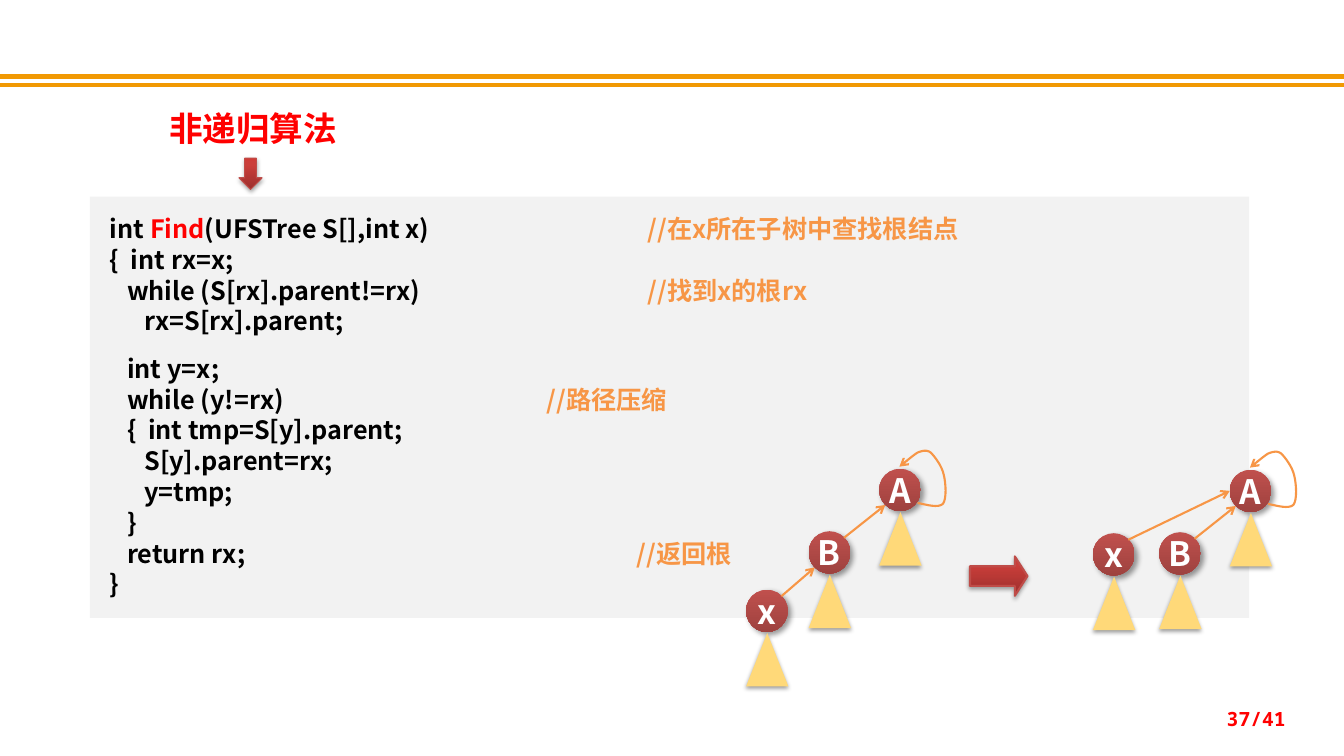
from copy import deepcopy
from lxml.etree import SubElement
from pptx import Presentation
from pptx.dml.color import RGBColor
from pptx.enum.shapes import MSO_CONNECTOR as Connector, MSO_SHAPE as Preset
from pptx.enum.text import MSO_ANCHOR as Anchor, PP_ALIGN as Align
from pptx.oxml.ns import qn
from pptx.util import Inches, Pt

COLORS = {
    "rule": "F19903", "red": "FF0000", "panel": "F2F2F2", "code": "000000",
    "accent": "F79646", "white": "FFFFFF", "subtree": "FFD979",
    "arrow_edge": "BF4C48", "shadow": "000000",
}
NODE_STOPS = [(0, "C0504D"), (1, "9E423F")]
ARROW_STOPS = [(0, "9C2F2D"), (0.8, "CB3E3A"), (1, "CE3B37")]
SANS = "Noto Sans CJK SC"


def write(paragraph, text, size=18, color="code", font=SANS):
    run = paragraph.add_run()
    run.text = text
    run.font.size = Pt(size)
    run.font.bold = True
    run.font.color.rgb = RGBColor.from_string(COLORS[color])
    run.font.name = font
    SubElement(run.font._element, qn("a:ea"), typeface=font)


def shade(shape, stops, angle, opacity, blur, distance, direction):
    if stops:
        shape.fill.gradient()
        shape.fill.gradient_angle = angle
        stop_list = shape.fill._xPr.find(".//" + qn("a:gsLst"))
        if len(stops) > 2:
            stop_list.append(deepcopy(stop_list[-1]))
        for stop, (position, color) in zip(shape.fill.gradient_stops, stops):
            stop.position = position
            stop.color.rgb = RGBColor.from_string(color)
    shape.shadow.inherit = False
    effects = shape._element.spPr.find(qn("a:effectLst"))
    shadow = SubElement(effects, qn("a:outerShdw"), blurRad=str(Pt(blur)),
                        dist=str(Pt(distance)), dir=str(direction * 60000),
                        rotWithShape="0")
    tint = SubElement(shadow, qn("a:srgbClr"), val=COLORS["shadow"])
    SubElement(tint, qn("a:alpha"), val=str(opacity * 1000))


presentation = Presentation()
presentation.slide_width = Inches(13.33)
presentation.slide_height = Inches(7.5)
column = presentation.slide_width / 100
row = presentation.slide_height / 100
slide = presentation.slides.add_slide(presentation.slide_layouts[6])
shapes = slide.shapes

for level in (10.13, 11.2):
    rule = shapes.add_connector(Connector.STRAIGHT, 0, int(level * row),
                                presentation.slide_width, int(level * row))
    rule.line.color.rgb = RGBColor.from_string(COLORS["rule"])
    rule.line.width = Pt(3)
    SubElement(rule._element.spPr, qn("a:effectLst"))

panel = shapes.add_shape(Preset.RECTANGLE, int(6.68 * column), int(26 * row),
                         int(86.27 * column), int(55.73 * row))
panel.fill.solid()
panel.fill.fore_color.rgb = RGBColor.from_string(COLORS["panel"])
panel.line.fill.background()
panel.shadow.inherit = False
frame = panel.text_frame
frame.word_wrap = True
frame.vertical_anchor = Anchor.TOP
frame.margin_left = Inches(0.2)
frame.margin_top = frame.margin_bottom = Inches(0.16)

CODE = [
    ([("int ", "code"), ("Find", "red"), ("(UFSTree S[],int x)", "code")],
     "//在x所在子树中查找根结点", 40),
    ([("{  int rx=x;", "code")], None, 0),
    ([("   while (S[rx].parent!=rx)", "code")], "//找到x的根rx", 40),
    ([("      rx=S[rx].parent;", "code")], None, 0),
    ([("   int y=x;", "code")], None, 0),
    ([("   while (y!=rx)", "code")], "//路径压缩", 32.5),
    ([("   {  int tmp=S[y].parent;", "code")], None, 0),
    ([("      S[y].parent=rx;", "code")], None, 0),
    ([("      y=tmp;", "code")], None, 0),
    ([("   }", "code")], None, 0),
    ([("   return rx;", "code")], "//返回根", 39.2),
    ([("}", "code")], None, 0),
]
for number, (parts, comment, stop) in enumerate(CODE):
    paragraph = frame.add_paragraph() if number else frame.paragraphs[0]
    paragraph.alignment = Align.LEFT
    paragraph.line_spacing = Pt(22)
    if number == 4:
        paragraph.space_before = Pt(12)
    for text, color in parts:
        write(paragraph, text, color=color)
    if comment:
        tabs = SubElement(paragraph._p.get_or_add_pPr(), qn("a:tabLst"))
        SubElement(tabs, qn("a:tab"), pos=str(int(stop * column)), algn="l")
        write(paragraph, "\t" + comment, color="accent")

LABELS = [
    ("37/41", 73.07, 92.4, 23.33, 5.33, 14, "Noto Sans Mono", Align.RIGHT, Anchor.MIDDLE),
    ("非递归算法", 11.85, 13.6, 20.26, 6.67, 24, SANS, Align.LEFT, Anchor.TOP),
]
for text, left, top, width, height, size, font, alignment, anchor in LABELS:
    label = shapes.add_textbox(int(left * column), int(top * row),
                               int(width * column), int(height * row))
    label.text_frame.word_wrap = True
    label.text_frame.vertical_anchor = anchor
    paragraph = label.text_frame.paragraphs[0]
    paragraph.alignment = alignment
    write(paragraph, text, size=size, color="red", font=font)

BLOCK_ARROWS = [
    (Preset.DOWN_ARROW, 17.78, 20.93, 1.73, 4.13, 0.75, 0.5),
    (Preset.RIGHT_ARROW, 72.17, 73.6, 4.28, 5.2, 1.5, 0.32),
]
for preset, left, top, width, height, weight, head in BLOCK_ARROWS:
    arrow = shapes.add_shape(preset, int(left * column), int(top * row),
                             int(width * column), int(height * row))
    arrow.adjustments[1] = head
    arrow.line.color.rgb = RGBColor.from_string(COLORS["arrow_edge"])
    arrow.line.width = Pt(weight)
    shade(arrow, ARROW_STOPS, 90, 35, 3.1, 1.8, 90)

LOWER_LEFT, LEFT_SIDE = (0.45, 4.8), (0, 2.8)
TREES = [
    ({"A": (65.42, 62), "B": (60.17, 70.27), "x": (55.51, 78)},
     [("B", "A", LOWER_LEFT), ("x", "B", LOWER_LEFT)]),
    ({"A": (91.5, 62.13), "B": (86.25, 70.4), "x": (81.32, 70.53)},
     [("B", "A", LOWER_LEFT), ("x", "A", LEFT_SIDE)]),
]
LOOP = [
    (2.85, 4.53), (3.6, 4.8), (4.35, 5.2), (4.73, 4.67),
    (5.03, 4), (4.95, 1.87), (4.8, 0.8),
    (4.65, -0.4), (4.13, -1.6), (3.83, -2.13),
    (3.53, -2.53), (3.23, -2.4), (2.85, -2.13),
    (2.48, -1.73), (1.8, -0.67), (1.5, -0.27),
]
STEPS = 8
for nodes, edges in TREES:
    for name, (left, top) in nodes.items():
        node = shapes.add_shape(Preset.OVAL, int(left * column), int(top * row),
                                int(3.1 * column), int(5.6 * row))
        node.line.fill.background()
        shade(node, NODE_STOPS, 270, 40, 4, 3, 45)
        node.text_frame.word_wrap = False
        node.text_frame.vertical_anchor = Anchor.MIDDLE
        paragraph = node.text_frame.paragraphs[0]
        paragraph.alignment = Align.CENTER
        write(paragraph, name, size=24, color="white")
        subtree = shapes.add_shape(Preset.ISOSCELES_TRIANGLE, int(left * column),
                                   int((top + 5.73) * row),
                                   int(3.15 * column), int(7.07 * row))
        subtree.fill.solid()
        subtree.fill.fore_color.rgb = RGBColor.from_string(COLORS["subtree"])
        subtree.line.fill.background()
        shade(subtree, None, 0, 38, 3.1, 1.6, 90)

    links = []
    for child, parent, (across, down) in edges:
        left, top = nodes[child]
        parent_left, parent_top = nodes[parent]
        links.append(shapes.add_connector(
            Connector.STRAIGHT, int((left + 2.63) * column), int((top + 0.87) * row),
            int((parent_left + across) * column), int((parent_top + down) * row)))

    root_left, root_top = nodes["A"]
    curve = [((root_left + x) * column, (root_top + y) * row) for x, y in LOOP]
    points = [curve[0]]
    for start in range(0, len(curve) - 1, 3):
        for step in range(1, STEPS + 1):
            t = step / STEPS
            weights = ((1 - t) ** 3, 3 * t * (1 - t) ** 2, 3 * t * t * (1 - t), t ** 3)
            controls = zip(*curve[start:start + 4])
            points.append(tuple(sum(w * c for w, c in zip(weights, axis))
                                for axis in controls))
    builder = shapes.build_freeform(int(points[0][0]), int(points[0][1]))
    builder.add_line_segments([(int(x), int(y)) for x, y in points[1:]], close=False)
    loop = builder.convert_to_shape()
    loop.fill.background()
    links.append(loop)
    for link in links:
        link.line.color.rgb = RGBColor.from_string(COLORS["accent"])
        link.line.width = Pt(1.5)
        SubElement(link.line._get_or_add_ln(), qn("a:tailEnd"), type="arrow")
        SubElement(link._element.spPr, qn("a:effectLst"))

presentation.save("out.pptx")
